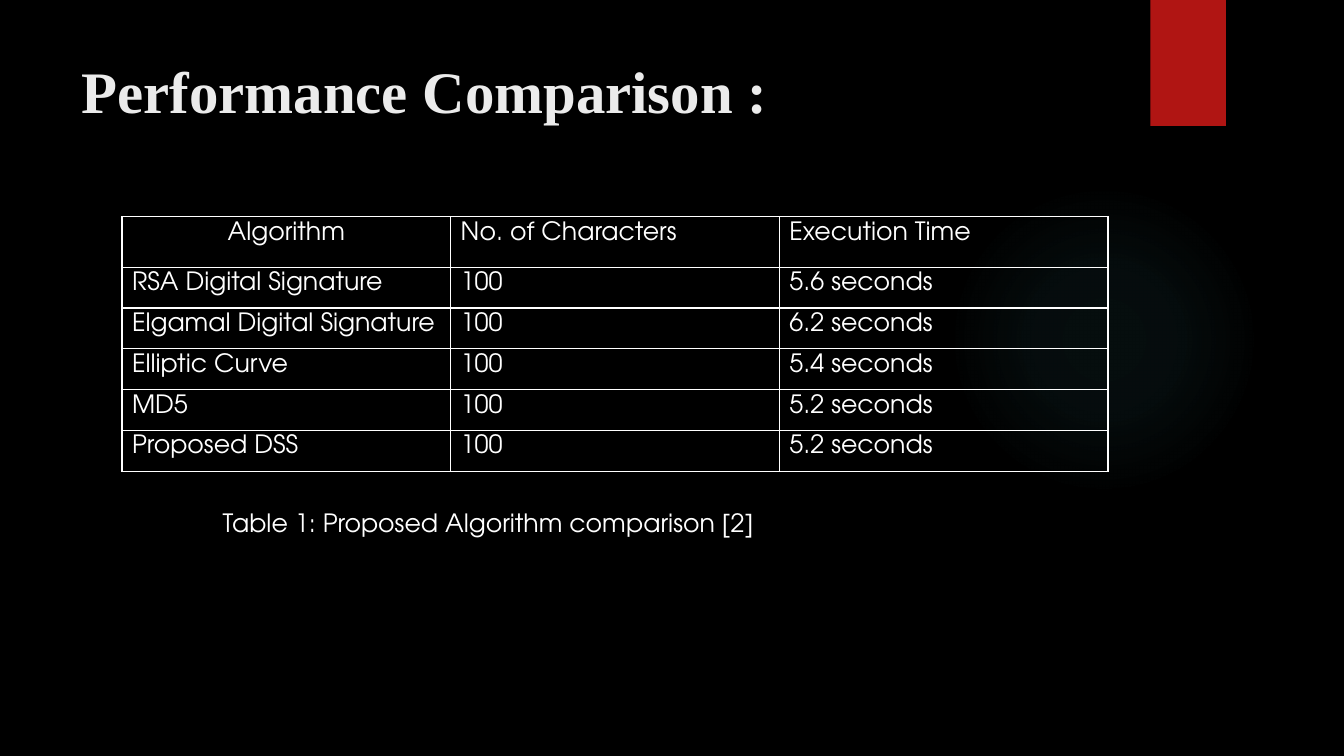
from pptx import Presentation
from pptx.dml.color import RGBColor
from pptx.enum.shapes import MSO_SHAPE
from pptx.enum.text import MSO_ANCHOR, PP_ALIGN
from pptx.oxml import parse_xml
from pptx.oxml.ns import nsdecls
from pptx.util import Inches, Pt

ELLIPSE, RECTANGLE = MSO_SHAPE.OVAL, MSO_SHAPE.RECTANGLE
LEFT, CENTER, TOP = PP_ALIGN.LEFT, PP_ALIGN.CENTER, MSO_ANCHOR.TOP

TITLE = "Performance Comparison :"
CAPTION = "Table 1: Proposed Algorithm comparison [2]"
ROWS = [
    ("Algorithm", "No. of Characters", "Execution Time"),
    ("RSA Digital Signature", "100", "5.6 seconds"),
    ("Elgamal Digital Signature", "100", "6.2 seconds"),
    ("Elliptic Curve", "100", "5.4 seconds"),
    ("MD5", "100", "5.2 seconds"),
    ("Proposed DSS", "100", "5.2 seconds"),
]
COLORS = {"background": "000000", "title": "EBEBEB", "text": "FFFFFF",
          "ribbon": "B01513", "glow": "50B9C1"}
TITLE_FONT, BODY_FONT = "Times New Roman", "TeX Gyre Adventor"
GLOW_STOPS = [(0, 7), (36, 6), (69, 0)]  # position and opacity in percent
COLUMN_WIDTH, HEADER_HEIGHT, ROW_HEIGHT = 3.26, 0.5, 0.405


def color(name):
    return RGBColor.from_string(COLORS[name])


def write(text_frame, text, font_name, size, color_name, align=LEFT, bold=False):
    text_frame.text = text
    paragraph = text_frame.paragraphs[0]
    paragraph.alignment = align
    font = paragraph.font
    font.name, font.size, font.bold = font_name, Pt(size), bold
    font.color.rgb = color(color_name)


def add_plain_shape(slide, preset, left, top, width, height):
    shape = slide.shapes.add_shape(
        preset, Inches(left), Inches(top), Inches(width), Inches(height))
    shape.shadow.inherit = False
    shape.line.fill.background()
    return shape


def add_glow(slide):
    """Add a circle whose tint fades out from its centre."""
    glow = add_plain_shape(slide, ELLIPSE, 9.41, 1.83, 3.08, 3.08)
    glow.fill.background()
    stops = "".join(
        f'<a:gs pos="{position * 1000}"><a:srgbClr val="{COLORS["glow"]}">'
        f'<a:alpha val="{opacity * 1000}"/></a:srgbClr></a:gs>'
        for position, opacity in GLOW_STOPS)
    gradient = parse_xml(
        f'<a:gradFill {nsdecls("a")} rotWithShape="1"><a:gsLst>{stops}</a:gsLst>'
        '<a:path path="circle"><a:fillToRect l="50000" t="50000" r="50000" b="50000"/>'
        '</a:path></a:gradFill>')
    properties = glow._element.spPr
    properties.replace(properties.find("{*}noFill"), gradient)


def add_borders(cell):
    properties = cell._tc.get_or_add_tcPr()
    for side in ("lnL", "lnR", "lnT", "lnB"):
        properties.append(parse_xml(
            f'<a:{side} {nsdecls("a")} w="{Pt(1)}"><a:solidFill>'
            f'<a:srgbClr val="{COLORS["text"]}"/></a:solidFill></a:{side}>'))


def add_comparison_table(slide):
    column_count = len(ROWS[0])
    height = HEADER_HEIGHT + ROW_HEIGHT * (len(ROWS) - 1)
    table = slide.shapes.add_table(
        len(ROWS), column_count, Inches(1.21), Inches(2.15),
        Inches(COLUMN_WIDTH * column_count), Inches(height)).table
    table.first_row = table.horz_banding = False
    for column in table.columns:
        column.width = Inches(COLUMN_WIDTH)
    for row_index, values in enumerate(ROWS):
        table.rows[row_index].height = Inches(ROW_HEIGHT if row_index else HEADER_HEIGHT)
        for column_index, value in enumerate(values):
            cell = table.cell(row_index, column_index)
            cell.margin_left = cell.margin_right = Inches(0.1)
            cell.margin_top, cell.margin_bottom = Inches(0.05), 0
            cell.vertical_anchor = TOP
            align = CENTER if row_index == column_index == 0 else LEFT
            write(cell.text_frame, value, BODY_FONT, 18, "text", align)
            add_borders(cell)
            cell.fill.background()


def main():
    presentation = Presentation()
    presentation.slide_width, presentation.slide_height = Inches(13.33), Inches(7.5)
    slide = presentation.slides.add_slide(presentation.slide_layouts[5])
    slide.background.fill.solid()
    slide.background.fill.fore_color.rgb = color("background")

    add_glow(slide)
    ribbon = add_plain_shape(slide, RECTANGLE, 11.41, 0, 0.75, 1.25)
    ribbon.fill.solid()
    ribbon.fill.fore_color.rgb = color("ribbon")

    title = slide.shapes.title
    title.left, title.top = Inches(0.71), Inches(0.49)
    title.width, title.height = Inches(10.29), Inches(1.53)
    title.text_frame.vertical_anchor = TOP
    write(title.text_frame, TITLE, TITLE_FONT, 42, "title", bold=True)

    add_comparison_table(slide)

    caption = slide.shapes.add_textbox(
        Inches(2.11), Inches(4.98), Inches(6.96), Inches(0.41))
    caption.text_frame.word_wrap = True
    write(caption.text_frame, CAPTION, BODY_FONT, 18, "text")

    presentation.save("out.pptx")


if __name__ == "__main__":
    main()
